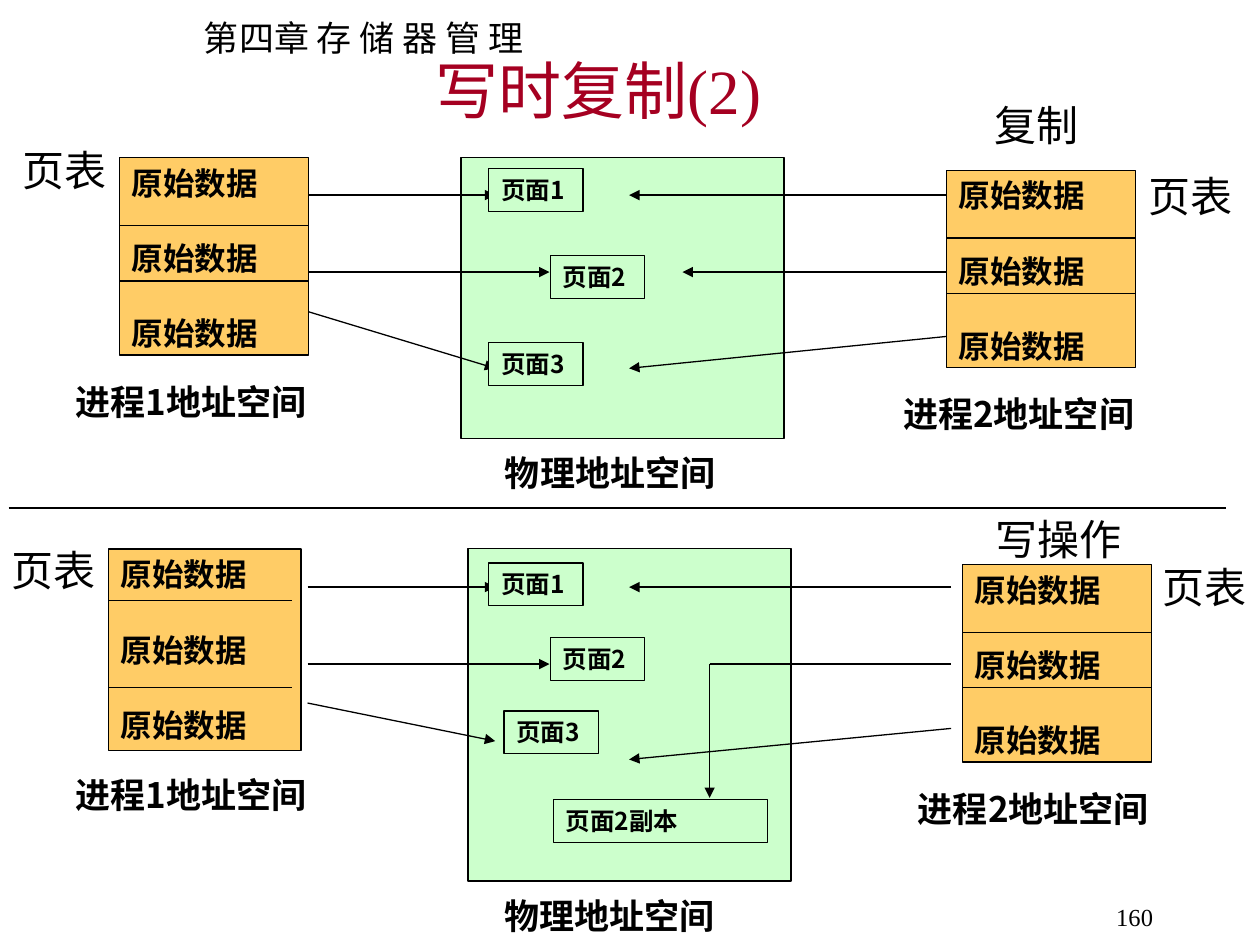
from dataclasses import dataclass

from lxml.etree import SubElement
from pptx import Presentation
from pptx.dml.color import RGBColor as Color
from pptx.enum.shapes import MSO_CONNECTOR as Connector, MSO_SHAPE as Shape
from pptx.enum.text import MSO_ANCHOR as Anchor, PP_ALIGN as Align
from pptx.oxml.ns import qn
from pptx.util import Pt


@dataclass(frozen=True)
class Theme:
    black: Color = Color(0x00, 0x00, 0x00)
    red: Color = Color(0xA5, 0x00, 0x21)
    green: Color = Color(0xCC, 0xFF, 0xCC)
    orange: Color = Color(0xFF, 0xCC, 0x66)
    chinese: str = "Noto Sans CJK SC"
    serif: str = "Times New Roman"
    title: int = 36
    label: int = 24
    caption: int = 20
    entry: int = 18
    small: int = 14
    line: float = 0.75


THEME = Theme()


def write(shape, lines, size, font=THEME.chinese, bold=False, color=THEME.black,
          align=Align.LEFT, wrap=True, gap=0, **frame_format):
    """Fill a shape with one paragraph per line, gap points apart."""
    frame = shape.text_frame
    frame_values = {"word_wrap": wrap, "vertical_anchor": Anchor.TOP} | frame_format
    for name, value in frame_values.items():
        setattr(frame, name, value)
    for index, line in enumerate(lines):
        paragraph = frame.paragraphs[0] if index == 0 else frame.add_paragraph()
        paragraph.alignment = align
        if index and gap:
            paragraph.space_before = Pt(gap)
        run = paragraph.add_run()
        run.text = line
        font_values = {"name": font, "size": Pt(size), "bold": bold}
        for name, value in font_values.items():
            setattr(run.font, name, value)
        run.font.color.rgb = color
        east_asian = SubElement(run.font._element, qn("a:ea"))
        east_asian.set("typeface", THEME.chinese)


def add_text(slide, text, box, size, **text_format):
    shape = slide.shapes.add_textbox(*map(Pt, box))
    write(shape, [text], size, **text_format)


def add_box(slide, box, fill):
    shape = slide.shapes.add_shape(Shape.RECTANGLE, *map(Pt, box))
    shape.shadow.inherit = False
    shape.fill.solid()
    shape.fill.fore_color.rgb = fill
    shape.line.color.rgb = THEME.black
    shape.line.width = Pt(THEME.line)
    return shape


def add_line(slide, start, end, arrow=False):
    connector = slide.shapes.add_connector(Connector.STRAIGHT, *map(Pt, start + end))
    connector.line.color.rgb = THEME.black
    connector.line.width = Pt(THEME.line)
    if arrow:
        SubElement(connector.line._get_or_add_ln(), qn("a:tailEnd")).set("type", "triangle")
    SubElement(connector._element.spPr, qn("a:effectLst"))


def add_page(slide, text, left, top, width=54):
    shape = add_box(slide, (left, top, width, 24.5), THEME.green)
    write(shape, [text], THEME.small, bold=True, wrap=width > 54)


def add_process(slide, box, dividers, divider_width, caption, caption_place):
    """Page table of one process, with its row dividers and caption."""
    left, top = box[:2]
    shape = add_box(slide, box, THEME.orange)
    write(shape, ["原始数据"] * 3, THEME.entry, bold=True, gap=21.5)
    for offset in dividers:
        add_line(slide, (left, top + offset), (left + divider_width, top + offset))
    add_text(slide, caption, caption_place + (175, 36), THEME.caption, bold=True)


def main():
    presentation = Presentation()
    presentation.slide_width, presentation.slide_height = Pt(720), Pt(540)
    slide = presentation.slides.add_slide(presentation.slide_layouts[6])

    # Headings and page number
    add_text(slide, "第四章 存 储 器 管 理", (109.5, 6, 201.5, 31.5), THEME.caption, wrap=False)
    add_text(slide, "160", (516, 512, 150, 36), THEME.small, font=THEME.serif, align=Align.RIGHT)
    add_text(slide, "写时复制(2)", (36, 24, 612, 54), THEME.title, font=THEME.serif,
             color=THEME.red, align=Align.CENTER, vertical_anchor=Anchor.MIDDLE)

    # Physical memory, before and after the write
    for box, caption_place in [
        ((263.5, 90, 184.5, 160.5), (281.5, 257.75)),
        ((267.5, 313.5, 184.5, 190), (281, 511)),
    ]:
        add_box(slide, box, THEME.green)
        add_text(slide, "物理地址空间", caption_place + (166, 31), THEME.caption, bold=True,
                 margin_top=0, margin_bottom=0)

    # Mappings from page tables to pages
    table_1, table_2 = 175.75, 543.5
    near, middle, far, far_2, copy_x = 283, 314, 359.5, 390, 405.5
    for start, end in [
        ((table_1, 111.5), (near, 111.5)),
        ((table_1, 155.5), (middle, 155.5)),
        ((table_1, 178), (near, 210.5)),
        ((table_2, 111.5), (far, 111.5)),
        ((table_2, 155.5), (far_2, 155.5)),
        ((table_2, 192), (far, 210.5)),
        ((table_1, 335.5), (near, 335.5)),
        ((table_1, 379.5), (middle, 379.5)),
        ((table_1, 401.75), (near, 423.5)),
        ((table_2, 335.5), (far, 335.5)),
        ((table_2, 416.25), (far, 434)),
        ((copy_x, 379.5), (copy_x, 456)),
    ]:
        add_line(slide, start, end, arrow=True)
    add_line(slide, (copy_x, 379.5), (table_2, 379.5))

    # Process address spaces
    first, second = "进程1地址空间", "进程2地址空间"
    rows = (38.75, 70.5)
    add_process(slide, (68.25, 90, 108, 113), rows, 108, first, (36, 214))
    add_process(slide, (540.75, 97.25, 108, 113), rows, 108, second, (509, 221))
    add_process(slide, (62, 313.75, 110, 115), (29.5, 79), 105, first, (36, 438.5))
    add_process(slide, (550, 322.5, 108, 113), rows, 108, second, (517.5, 446.5))

    # Pages
    for text, left, top in [
        ("页面1", 279.25, 96.25), ("页面2", 314.5, 146), ("页面3", 279.25, 195.75),
        ("页面1", 279.25, 321.75), ("页面2", 314.5, 364.5), ("页面3", 288, 406.25),
    ]:
        add_page(slide, text, left, top)
    add_page(slide, "页面2副本", 316.25, 457, width=122.5)

    # Labels, each box wide enough for one line
    for text, left, top in [
        ("页表", 6, 79), ("页表", -0.5, 307.5),
        ("页表", 649.5, 93.75), ("页表", 657, 317.5),
        ("复制", 561, 53.5), ("写操作", 562, 290),
    ]:
        width = len(text) * THEME.label + 16
        add_text(slide, text, (left, top, width, 36), THEME.label, font=THEME.serif, wrap=False)

    # Rule between the two stages
    add_line(slide, (5, 290.25), (700.5, 290.25))

    presentation.save("out.pptx")


if __name__ == "__main__":
    main()
